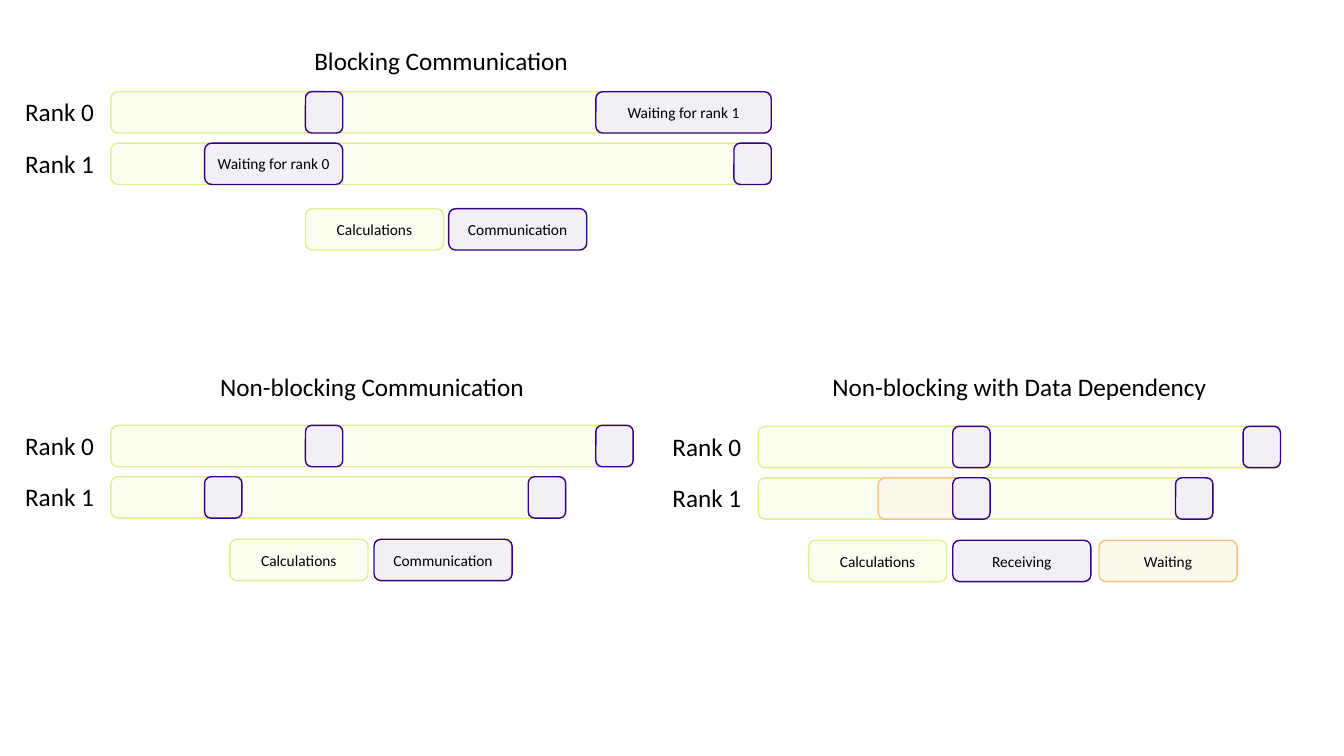
"""Build a slide comparing blocking and non-blocking communication timelines."""
from dataclasses import dataclass

from pptx import Presentation
from pptx.dml.color import RGBColor
from pptx.enum.shapes import MSO_SHAPE
from pptx.enum.text import MSO_ANCHOR, MSO_AUTO_SIZE, PP_ALIGN
from pptx.util import Inches, Pt


@dataclass(frozen=True)
class Theme:
    font: str = "Calibri"
    text: str = "000000"
    calculation: tuple = ("FAFDF0", "DDF08B")
    communication: tuple = ("F2EFF6", "360084")
    waiting: tuple = ("FDF8EE", "EFC57B")
    heading_size: int = 18
    block_size: int = 11
    line_width: int = 1


THEME = Theme()
BAR_HEIGHT = 0.41
LABEL_HEIGHT = 0.4
LABEL_WIDTH = 0.89
LABEL_OFFSET = 0.95
ROW_PITCH = 0.51
STEP = 0.37
CHIP = 1.37

CALC, COMM, WAIT = THEME.calculation, THEME.communication, THEME.waiting

PANELS = [
    dict(
        title="Blocking Communication", left=1.1, title_top=0.4, top=0.91,
        rows=[
            (6.55, [(COMM, 1.93, STEP, ""), (COMM, 4.81, 1.74, "Waiting for rank 1")]),
            (6.55, [(COMM, 0.93, CHIP, "Waiting for rank 0"), (COMM, 6.18, STEP, "")]),
        ],
        legend_top=2.07,
        legend=[(CALC, 1.93, "Calculations"), (COMM, 3.35, "Communication")],
    ),
    dict(
        title="Non-blocking Communication", left=1.1, title_top=3.63, top=4.22,
        rows=[
            (5.18, [(COMM, 1.93, STEP, ""), (COMM, 4.81, STEP, "")]),
            (4.51, [(COMM, 0.93, STEP, ""), (COMM, 4.14, STEP, "")]),
        ],
        legend_top=5.35,
        legend=[(CALC, 1.18, "Calculations"), (COMM, 2.61, "Communication")],
    ),
    dict(
        title="Non-blocking with Data Dependency", left=7.52, title_top=3.63, top=4.23,
        rows=[
            (5.18, [(COMM, 1.93, STEP, ""), (COMM, 4.81, STEP, "")]),
            (4.51, [(WAIT, 1.19, 1.11, ""), (COMM, 1.93, STEP, ""), (COMM, 4.14, STEP, "")]),
        ],
        legend_top=5.36,
        legend=[(CALC, 0.5, "Calculations"), (COMM, 1.93, "Receiving"), (WAIT, 3.38, "Waiting")],
    ),
]


class TimelineSlide:
    def __init__(self, slide, theme):
        self.slide = slide
        self.theme = theme

    def add_text(self, tf, text, size, align):
        p = tf.paragraphs[0]
        p.alignment = align
        r = p.add_run()
        r.text = text
        for name, value in {"name": self.theme.font, "size": Pt(size)}.items():
            setattr(r.font, name, value)
        r.font.color.rgb = RGBColor.from_string(self.theme.text)

    def block(self, colors, left, top, width, text=""):
        sp = self.slide.shapes.add_shape(
            MSO_SHAPE.FLOWCHART_ALTERNATE_PROCESS,
            Inches(left), Inches(top), Inches(width), Inches(BAR_HEIGHT))
        sp.shadow.inherit = False
        fill, line = colors
        sp.fill.solid()
        sp.fill.fore_color.rgb = RGBColor.from_string(fill)
        sp.line.color.rgb = RGBColor.from_string(line)
        sp.line.width = Pt(self.theme.line_width)
        if text:
            sp.text_frame.vertical_anchor = MSO_ANCHOR.MIDDLE
            self.add_text(sp.text_frame, text, self.theme.block_size, PP_ALIGN.CENTER)

    def label(self, text, left, top, width, wrap=False, align=PP_ALIGN.LEFT):
        sp = self.slide.shapes.add_textbox(
            Inches(left), Inches(top), Inches(width), Inches(LABEL_HEIGHT))
        tf = sp.text_frame
        for name, value in {"word_wrap": wrap, "auto_size": MSO_AUTO_SIZE.SHAPE_TO_FIT_TEXT}.items():
            setattr(tf, name, value)
        self.add_text(tf, text, self.theme.heading_size, align)

    def panel(self, title, left, title_top, top, rows, legend_top, legend):
        self.label(title, left, title_top, rows[0][0], True, PP_ALIGN.CENTER)
        for rank, (length, blocks) in enumerate(rows):
            row_top = top + rank * ROW_PITCH
            self.label(f"Rank {rank}", left - LABEL_OFFSET, row_top, LABEL_WIDTH)
            self.block(self.theme.calculation, left, row_top, length)
            for colors, offset, width, text in blocks:
                self.block(colors, left + offset, row_top, width, text)
        for colors, offset, text in legend:
            self.block(colors, left + offset, legend_top, CHIP, text)


def main():
    prs = Presentation()
    prs.slide_width = Inches(13.33)
    prs.slide_height = Inches(7.5)
    s = TimelineSlide(prs.slides.add_slide(prs.slide_layouts[6]), THEME)
    for panel in PANELS:
        s.panel(**panel)
    prs.save("out.pptx")


if __name__ == "__main__":
    main()
